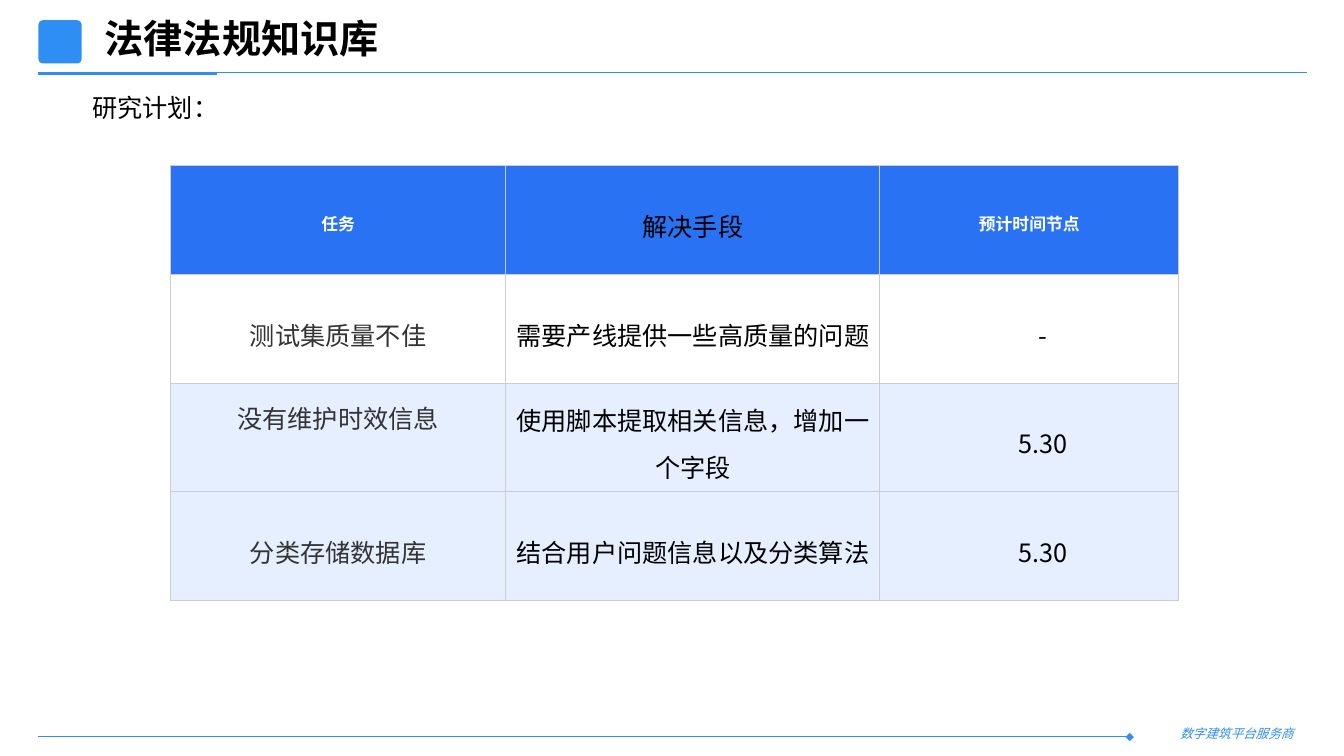
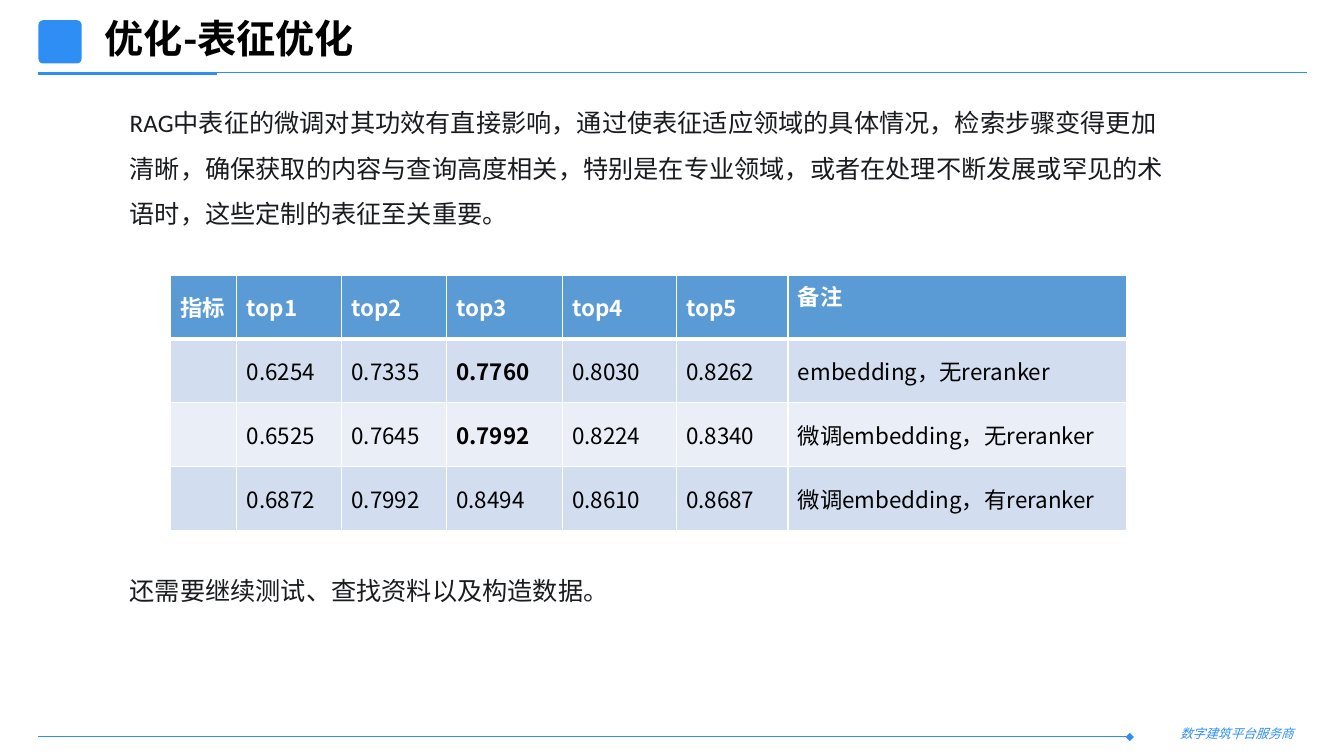
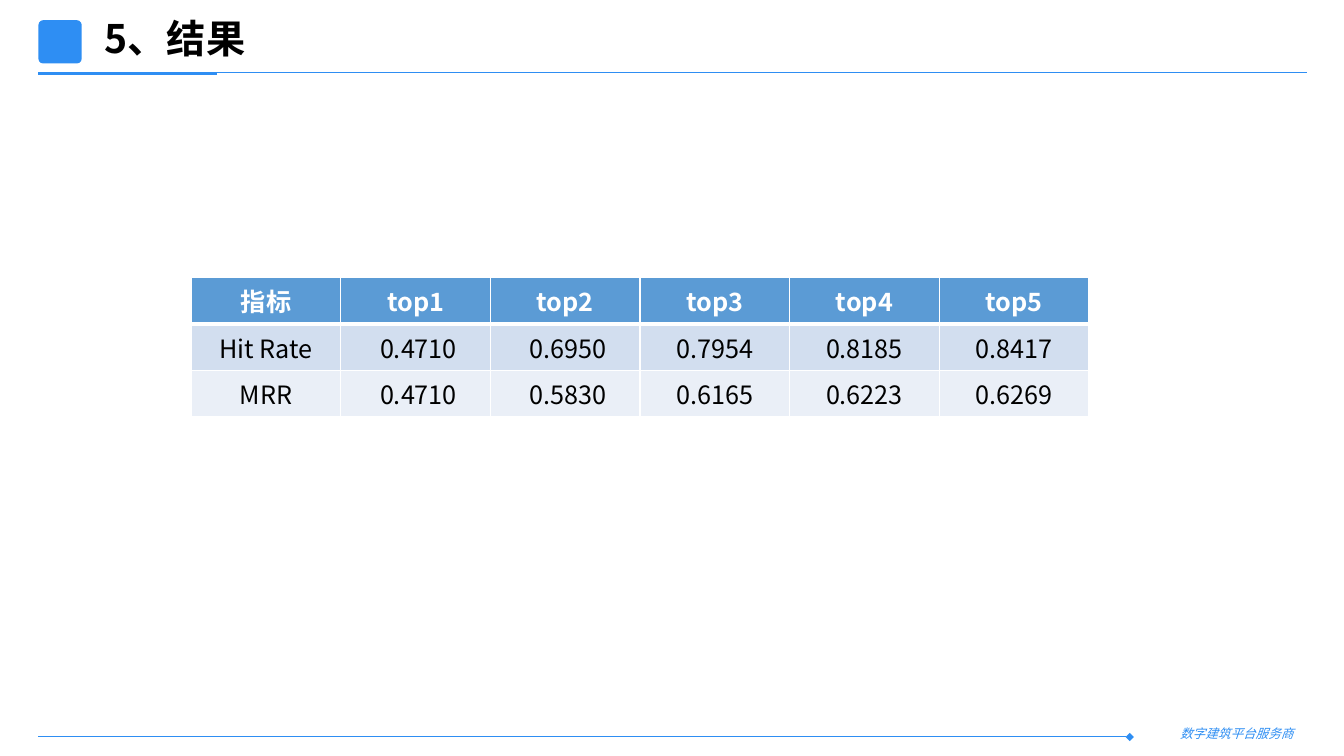
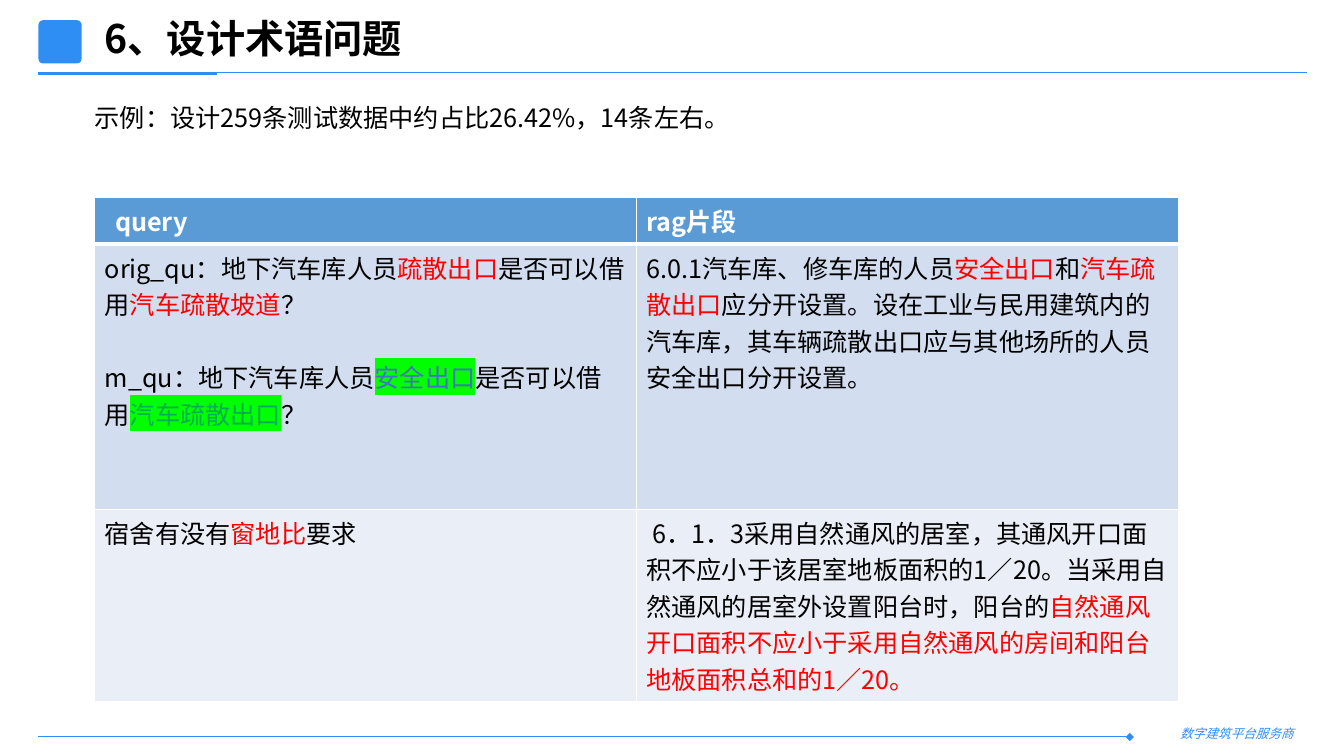
from itertools import product

from lxml import etree
from pptx import Presentation
from pptx.dml import color
from pptx.enum import shapes, text
from pptx.oxml import ns
from pptx.util import Cm, Pt

NOTO, ARIAL, CALIBRI = "Noto Sans CJK SC", "Arial", "Calibri"
BRAND, BLACK, WHITE, RED = "2E8EF3", "000000", "FFFFFF", "FF0000"
BODY, TASK, GREEN = "191B1F", "333333", "00FF00"
LEFT, CENTER, JUSTIFY = text.PP_ALIGN.LEFT, text.PP_ALIGN.CENTER, text.PP_ALIGN.JUSTIFY
TOP, MIDDLE = text.MSO_ANCHOR.TOP, text.MSO_ANCHOR.MIDDLE

FOOTER = "数字建筑平台服务商"
RULES = [
    ((1.22, 1.83), (32.94, 1.83), 0.75, None),
    ((0.97, 1.85), (5.46, 1.85), 2.5, None),
    ((0.97, 18.57), (28.47, 18.57), 0.75, "diamond"),
]
METRIC_LOOK = dict(fills=["5B9BD5", "D2DEEF", "EAEFF7"], border=(WHITE, 1), header_line=3)
PLAN_LOOK = dict(fills=["2972F4", WHITE, "E5EFFF", "E5EFFF"], border=("CBCDD1", 0.75),
                 header_line=0.75, anchor=MIDDLE, align=CENTER, pad=0.18,
                 spacing=dict(line=1.3, before=3, after=3))

SLIDES = [
    dict(
        title="法律法规知识库",
        notes=[dict(words="研究计划：", at=(2.06, 2.21, 3.71, 1.02), align=CENTER, wrap=False)],
        table=dict(
            PLAN_LOOK, at=(4.29, 4.17), cols=[8.46, 9.42, 7.54], heights=[2.74] * 4,
            rows=[
                ["任务", "解决手段", "预计时间节点"],
                ["测试集质量不佳", "需要产线提供一些高质量的问题", "-"],
                ["没有维护时效信息", "使用脚本提取相关信息，增加一个字段", "5.30"],
                ["分类存储数据库", "结合用户问题信息以及分类算法", "5.30"],
            ],
            special={
                (0, 0): dict(size=12), (0, 2): dict(size=12),
                (0, 1): dict(bold=False, ink=BLACK),
                (1, 0): dict(font=ARIAL, ink=TASK),
                (2, 0): dict(font=ARIAL, ink=TASK, anchor=TOP),
                (3, 0): dict(font=ARIAL, ink=TASK),
                (1, 2): dict(indent=0.86), (2, 2): dict(indent=0.86), (3, 2): dict(indent=0.86),
            },
        ),
    ),
    dict(
        title="优化-表征优化",
        notes=[
            dict(words="RAG中表征的微调对其功效有直接影响，通过使表征适应领域的具体情况，"
                       "检索步骤变得更加清晰，确保获取的内容与查询高度相关，特别是在专业领域，"
                       "或者在处理不断发展或罕见的术语时，这些定制的表征至关重要。",
                 at=(3.02, 2.21, 26.62, 3.71), font=CALIBRI, ink=BODY, spacing=dict(line=1.5)),
            dict(words="还需要继续测试、查找资料以及构造数据。",
                 at=(3.02, 14.38, 20.93, 1.02), font=CALIBRI, ink=BODY),
        ],
        table=dict(
            METRIC_LOOK, at=(4.29, 6.93), cols=[1.68, 2.64, 2.64, 2.92, 2.87, 2.82, 8.53],
            heights=[1.61] * 4, anchor=MIDDLE, size=16,
            rows=[
                ["指标", "top1", "top2", "top3", "top4", "top5", "备注"],
                ["", "0.6254", "0.7335", "0.7760", "0.8030", "0.8262", "embedding，无reranker"],
                ["", "0.6525", "0.7645", "0.7992", "0.8224", "0.8340", "微调embedding，无reranker"],
                ["", "0.6872", "0.7992", "0.8494", "0.8610", "0.8687", "微调embedding，有reranker"],
            ],
            special={(0, 6): dict(anchor=TOP), (1, 3): dict(bold=True), (2, 3): dict(bold=True)},
        ),
    ),
    dict(
        title="5、结果",
        notes=[],
        table=dict(
            METRIC_LOOK, at=(4.82, 6.99), cols=[3.77] * 6, heights=[1.17] * 3, align=CENTER,
            rows=[
                ["指标", "top1", "top2", "top3", "top4", "top5"],
                ["Hit Rate", " 0.4710", " 0.6950", "0.7954", "0.8185", "0.8417"],
                ["MRR", " 0.4710", " 0.5830", "0.6165", "0.6223", "0.6269"],
            ],
        ),
    ),
    dict(
        title="6、设计术语问题",
        notes=[dict(words="示例：设计259条测试数据中约占比26.42%，14条左右。",
                    at=(2.14, 2.46, 25.2, 1.02))],
        table=dict(
            METRIC_LOOK, at=(2.39, 4.98), cols=[13.65] * 2, heights=[1.17, 6.68, 4.84],
            rows=[
                ["query", "rag片段"],
                [
                    [
                        [("orig_qu：地下汽车库人员",), ("疏散出口", RED), ("是否可以借用",),
                         ("汽车疏散坡道", RED), ("？",)],
                        [("m_qu：地下汽车库人员",), ("安全出口", "4472C4", GREEN), ("是否可以借用",),
                         ("汽车疏散出口", "00B050", GREEN), ("？",)],
                    ],
                    [[("6.0.1汽车库、修车库的人员",), ("安全出口", RED), ("和",), ("汽车疏散出口", RED),
                      ("应分开设置。设在工业与民用建筑内的汽车库，其车辆疏散出口应与其他场所的"
                       "人员安全出口分开设置。",)]],
                ],
                [
                    [[("宿舍有没有",), ("窗地比", RED), ("要求",)]],
                    [[(" 6．1．3采用自然通风的居室，其通风开口面积不应小于该居室地板面积的1／20。"
                       "当采用自然通风的居室外设置阳台时，阳台的",),
                      ("自然通风开口面积不应小于采用自然通风的房间和阳台地板面积总和的1／20。", RED)]],
                ],
            ],
            special={(0, 0): dict(indent=0.51), (1, 0): dict(spacing=dict(between=26))},
        ),
    ),
]


def rgb(value):
    return color.RGBColor.from_string(value)


def add_xml(parent, tag, **attributes):
    return etree.SubElement(parent, ns.qn(tag), attributes)


def write(frame, words, size=18, font=NOTO, ink=BLACK, bold=False, italic=False,
          align=LEFT, spacing=None):
    spacing = spacing or {}
    paragraphs = [[(words,)]] if isinstance(words, str) else words
    for number, pieces in enumerate(paragraphs):
        paragraph = frame.add_paragraph() if number else frame.paragraphs[0]
        paragraph.alignment = align
        paragraph.line_spacing = spacing.get("line")
        paragraph.space_before = Pt(spacing.get("between" if number else "before", 0))
        paragraph.space_after = Pt(spacing.get("after", 0))
        for piece, tint, marker in ((*p, None, None)[:3] for p in pieces):
            run = paragraph.add_run()
            run.text = piece
            run.font.size, run.font.bold, run.font.italic = Pt(size), bold, italic
            run.font.color.rgb = rgb(tint or ink)
            properties = run.font._element
            if marker:
                add_xml(add_xml(properties, "a:highlight"), "a:srgbClr", val=marker)
            run.font.name = font
            add_xml(properties, "a:ea", typeface=NOTO)


def add_words(slide, words, at, anchor=TOP, wrap=True, **style):
    frame = slide.shapes.add_textbox(*map(Cm, at)).text_frame
    frame.word_wrap = wrap
    frame.vertical_anchor = anchor
    write(frame, words, **style)


def add_frame(slide, title):
    for start, end, weight, tip in RULES:
        rule = slide.shapes.add_connector(shapes.MSO_CONNECTOR.STRAIGHT, *map(Cm, start + end))
        rule.line.color.rgb = rgb(BRAND)
        rule.line.width = Pt(weight)
        if tip:
            add_xml(rule.line._get_or_add_ln(), "a:tailEnd", type=tip)
        add_xml(rule._element.spPr, "a:effectLst")
    add_words(slide, FOOTER, (29.49, 18.16, 3.73, 0.64), size=9, ink=BRAND, italic=True,
              align=JUSTIFY)
    badge = slide.shapes.add_shape(shapes.MSO_SHAPE.ROUNDED_RECTANGLE,
                                   *map(Cm, (0.97, 0.51, 1.09, 1.09)))
    badge.adjustments[0] = 0.11
    badge.shadow.inherit = False
    badge.fill.solid()
    badge.fill.fore_color.rgb = rgb(BRAND)
    badge.line.fill.background()
    add_words(slide, title, (2.39, 0.23, 26.24, 1.6), anchor=MIDDLE, size=28, bold=True,
              spacing=dict(line=0.9))


def set_borders(cell, tint, **weights):
    properties = cell._tc.get_or_add_tcPr()
    for position, (side, weight) in enumerate(weights.items()):
        edge = etree.Element(ns.qn("a:ln" + side), w=str(Pt(weight)))
        add_xml(add_xml(edge, "a:solidFill"), "a:srgbClr", val=tint)
        properties.insert(position, edge)


def add_grid(slide, at, cols, heights, rows, fills, border, header_line, anchor=TOP, pad=0.25,
             special=None, **style):
    size = (sum(cols), sum(heights))
    grid = slide.shapes.add_table(len(rows), len(cols), *map(Cm, at + size)).table
    grid.first_row = grid.horz_banding = False
    for column, width in zip(grid.columns, cols):
        column.width = Cm(width)
    for row, height in zip(grid.rows, heights):
        row.height = Cm(height)
    tint, thin = border
    for r, c in product(range(len(rows)), range(len(cols))):
        cell = grid.cell(r, c)
        header = r == 0
        look = dict(style, ink=WHITE if header else BLACK, bold=header)
        look.update((special or {}).get((r, c), {}))
        cell.vertical_anchor = look.pop("anchor", anchor)
        cell.margin_left, cell.margin_right = Cm(look.pop("indent", pad)), Cm(pad)
        cell.fill.solid()
        band = r if r < len(fills) else 1 + (r - 1) % (len(fills) - 1)
        cell.fill.fore_color.rgb = rgb(fills[band])
        set_borders(cell, tint, L=thin, R=thin, T=header_line if r == 1 else thin,
                    B=header_line if header else thin)
        if rows[r][c]:
            write(cell.text_frame, rows[r][c], **look)


def main():
    deck = Presentation()
    deck.slide_width, deck.slide_height = Cm(33.87), Cm(19.05)
    for content in SLIDES:
        slide = deck.slides.add_slide(deck.slide_layouts[6])
        add_frame(slide, content["title"])
        for note in content["notes"]:
            add_words(slide, **note)
        add_grid(slide, **content["table"])
    deck.save("out.pptx")


if __name__ == "__main__":
    main()
